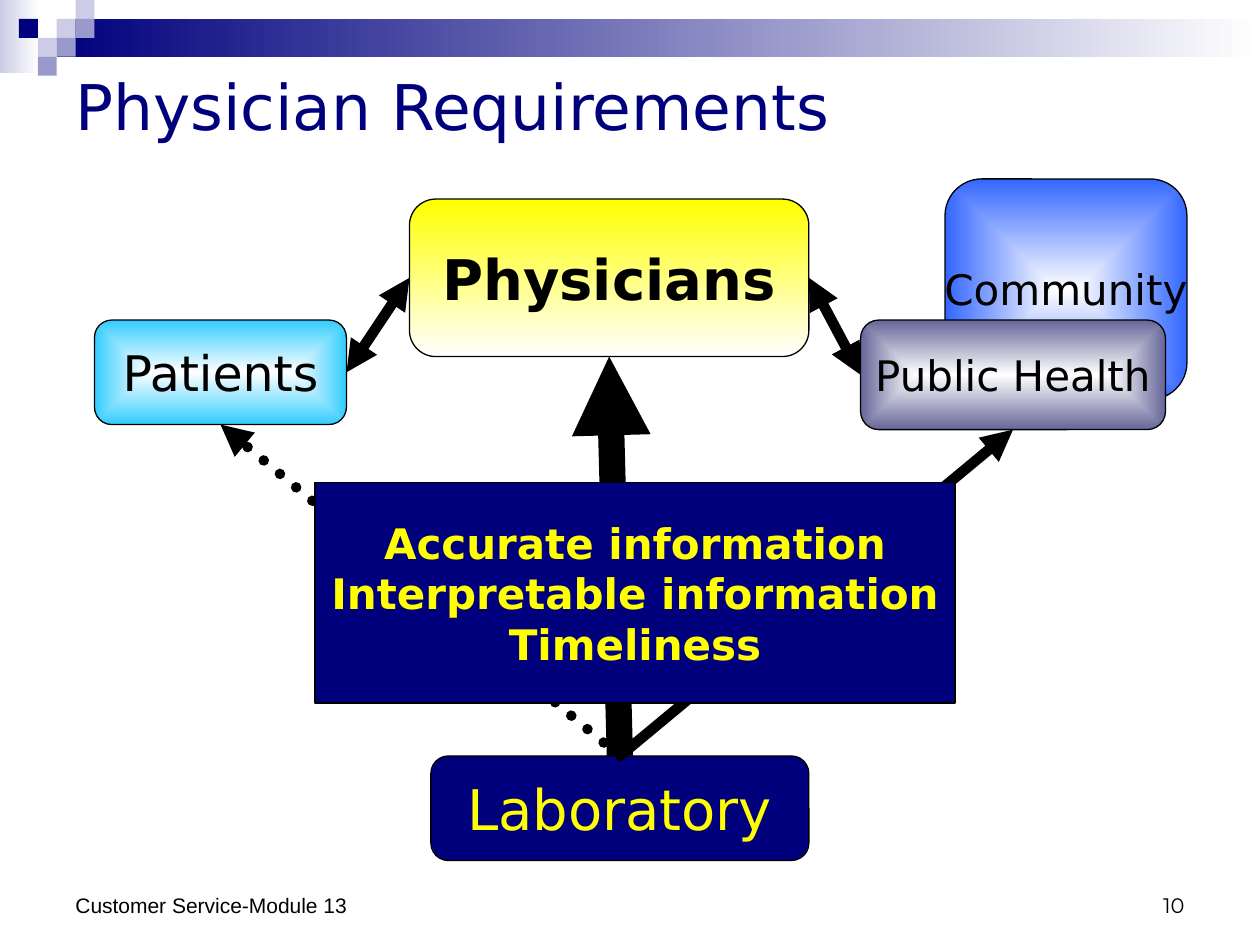
from pptx import Presentation
from pptx.dml.color import RGBColor
from pptx.enum.dml import MSO_LINE as Dash
from pptx.enum.shapes import MSO_CONNECTOR as Link, MSO_SHAPE as Shape
from pptx.enum.text import MSO_ANCHOR as Anchor, PP_ALIGN as Align
from pptx.oxml.ns import qn
from pptx.util import Inches, Pt
from lxml.etree import SubElement

NAVY, BLACK, WHITE, YELLOW = "00007D", "000000", "FFFFFF", "FFFF00"
PALE, MID = "CCCCE6", "9999CC"
TOP, LEFT, BOTTOM, RIGHT = range(4)


def rgb(code):
    return RGBColor.from_string(code)


class Board:
    font = "DejaVu Sans"

    def __init__(self, slide):
        self.slide = slide
        self.shapes = slide.shapes

    def label(self, shape, text, size, color, align=Align.LEFT,
              anchor=Anchor.MIDDLE, bold=False, font=None, wrap=True):
        frame = shape.text_frame
        frame.word_wrap = wrap
        frame.vertical_anchor = anchor
        frame.text = text
        for para in frame.paragraphs:
            para.alignment = align
            para.font.name = font or self.font
            para.font.size = Pt(size)
            para.font.bold = bold
            para.font.color.rgb = rgb(color)

    def title(self, text, area):
        shape = self.shapes.title
        shape.left, shape.top, shape.width, shape.height = map(Inches, area)
        self.label(shape, text, 36, NAVY)

    def note(self, text, area, **style):
        shape = self.shapes.add_textbox(*map(Inches, area))
        self.label(shape, text, 12, BLACK, anchor=Anchor.BOTTOM, **style)

    def paint(self, shape, colors, angle):
        """One color is solid, two blend; angle None blends from the center."""
        if len(colors) == 1:
            shape.fill.solid()
            shape.fill.fore_color.rgb = rgb(colors[0])
            return
        shape.fill.gradient()
        for stop, color in zip(shape.fill.gradient_stops, colors):
            stop.color.rgb = rgb(color)
        if angle is not None:
            shape.fill.gradient_angle = angle
            return
        grad = shape._element.spPr.find(qn("a:gradFill"))
        grad.remove(grad.find(qn("a:lin")))
        route = SubElement(grad, qn("a:path"), {"path": "rect"})
        sides = dict.fromkeys("ltrb", "50000")
        SubElement(route, qn("a:fillToRect"), sides)

    def block(self, area, *colors, angle=0):
        shape = self.shapes.add_shape(Shape.RECTANGLE, *map(Inches, area))
        shape.shadow.inherit = False
        shape.line.fill.background()
        self.paint(shape, colors, angle)

    def box(self, text, area, size, *colors, ink=BLACK, bold=False,
            angle=None, kind=Shape.ROUNDED_RECTANGLE):
        shape = self.shapes.add_shape(kind, *map(Inches, area))
        shape.shadow.inherit = False
        shape.line.color.rgb = rgb(BLACK)
        shape.line.width = Pt(0.75)
        self.paint(shape, colors, angle)
        self.label(shape, text, size, ink, Align.CENTER, bold=bold, wrap=False)
        return shape

    def arrow(self, start, side, end, goal, width=6, both=False, dots=False):
        line = self.shapes.add_connector(Link.STRAIGHT, 0, 0, 0, 0)
        line.begin_connect(start, side)
        line.end_connect(end, goal)
        line.line.color.rgb = rgb(BLACK)
        line.line.width = Pt(width)
        props = line._element.spPr
        stroke = props.find(qn("a:ln"))
        if dots:
            line.line.dash_style = Dash.ROUND_DOT
            stroke.set("cap", "rnd")
        if both:
            SubElement(stroke, qn("a:headEnd"), type="triangle")
        SubElement(stroke, qn("a:tailEnd"), type="triangle")
        SubElement(props, qn("a:effectLst"))


def main():
    deck = Presentation()
    deck.slide_width, deck.slide_height = Inches(10), Inches(7.5)
    board = Board(deck.slides.add_slide(deck.slide_layouts[5]))

    # Banner: two fading bars and a mosaic of small squares
    board.block((0, 0, 0.31, 0.58), PALE, WHITE)
    board.block((0.45, 0.15, 9.55, 0.3), NAVY, WHITE)
    unit = 0.15
    tiles = [(3, 1, PALE), (4, 0, PALE), (4, 1, MID), (2, 2, PALE),
             (1, 1, NAVY), (3, 2, MID), (2, 3, MID)]
    for col, row, color in tiles:
        board.block((col * unit, row * unit, unit, unit), color)

    board.title("Physician Requirements", (0.5, 0.25, 9, 1.17))

    # People served, and the laboratory
    board.box("Community", (7.5, 1.42, 1.92, 1.75), 24, WHITE, "3366FF")
    patients = board.box("Patients", (0.75, 2.54, 2, 0.83), 28,
                         WHITE, "33CCFF")
    health = board.box("Public Health", (6.83, 2.54, 2.42, 0.87), 24,
                       WHITE, "666699")
    lab = board.box("Laboratory", (3.42, 6, 3, 0.83), 32, NAVY, ink=YELLOW)
    doctors = board.box("Physicians", (3.25, 1.58, 3.17, 1.25), 32,
                        YELLOW, WHITE, bold=True, angle=270)

    # Flow of information
    board.arrow(lab, TOP, health, BOTTOM)
    board.arrow(lab, TOP, patients, BOTTOM, dots=True)
    board.arrow(lab, TOP, doctors, BOTTOM, width=15)
    board.arrow(patients, RIGHT, doctors, LEFT, both=True)
    board.arrow(doctors, RIGHT, health, LEFT, both=True)

    # Requirements, in front of the arrows
    needs = ["Accurate information", "Interpretable information", "Timeliness"]
    board.box("\n".join(needs), (2.5, 3.83, 5.08, 1.75), 24, NAVY,
              ink=YELLOW, bold=True, kind=Shape.RECTANGLE)

    # Footer
    board.note("Customer Service-Module 13", (0.5, 6.83, 6.08, 0.5),
               font="Arial")
    board.note("10", (7.17, 6.83, 2.33, 0.5), font="Montserrat",
               align=Align.RIGHT)

    deck.save("out.pptx")


if __name__ == "__main__":
    main()
